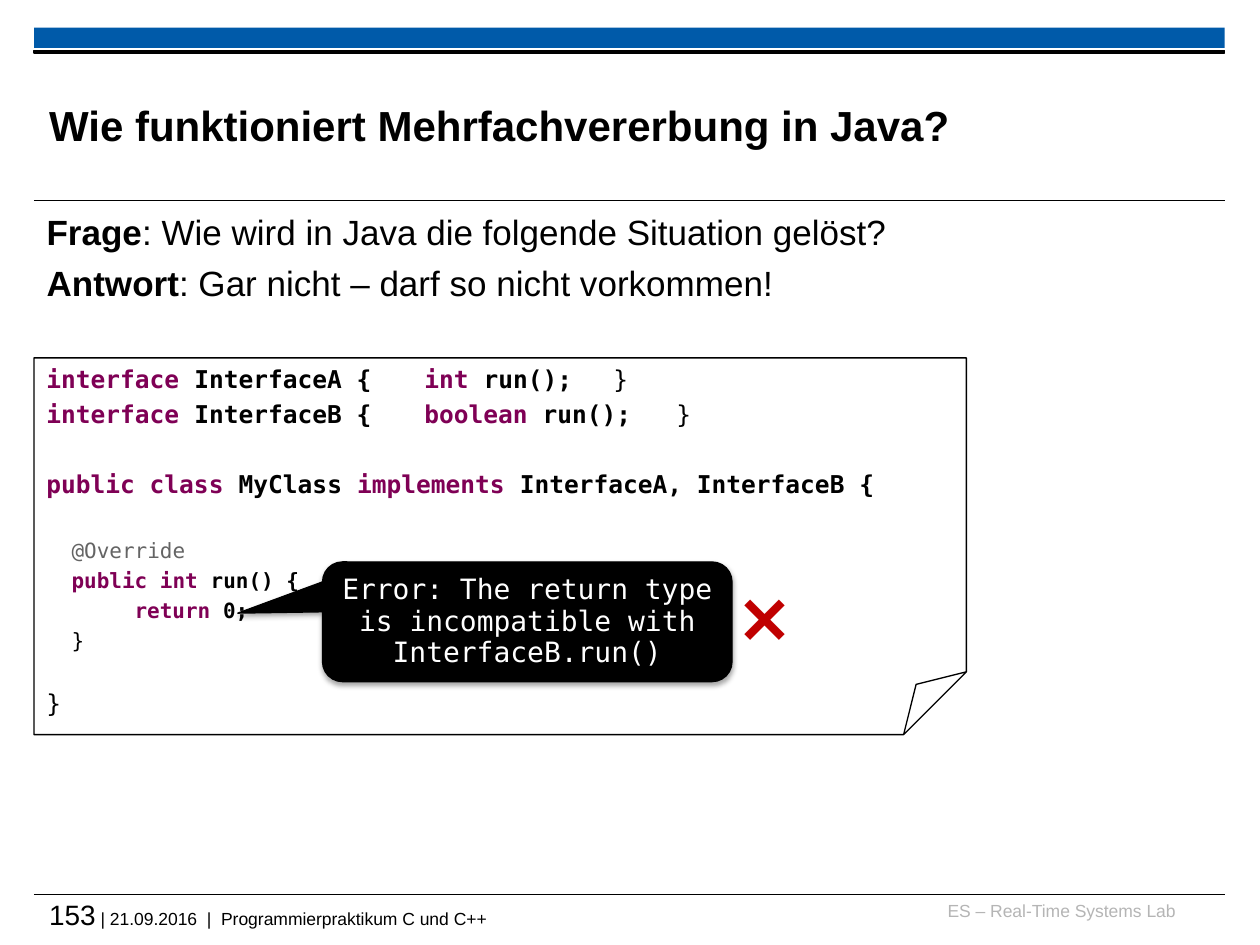
from lxml.etree import SubElement
from pptx import Presentation
from pptx.dml.color import RGBColor
from pptx.enum.shapes import MSO_CONNECTOR as Connector, MSO_SHAPE as Shape
from pptx.enum.text import MSO_ANCHOR as Anchor, MSO_AUTO_SIZE as AutoSize, PP_ALIGN as Align
from pptx.oxml.ns import qn
from pptx.util import Inches, Pt

COLORS = {"black": "000000", "white": "FFFFFF", "blue": "005AA9", "gray": "B5B5B5",
          "keyword": "7F0055", "annotation": "646464", "error": "C00000"}
SANS, MONO = "Arial", "DejaVu Sans Mono"
LEFT, WIDTH, TEXT_LEFT = 0.27, 9.45, 0.39

# Run styles
PLAIN = {"size": 20, "name": SANS, "color": "black", "bold": False}
BOLD = {**PLAIN, "bold": True}
TITLE = {**BOLD, "size": 24}
NUMBER = {**PLAIN, "size": 16}
FOOTER = {**PLAIN, "size": 10}
LAB = {**FOOTER, "color": "gray"}
CODE = {**BOLD, "name": MONO, "size": 14}
CODE_STYLES = {"k": {"color": "keyword"}, "c": {}, "p": {"bold": False},
               "a": {"color": "annotation", "bold": False}}
ERROR = {**PLAIN, "name": MONO, "size": 16, "color": "white"}
CROSS = {**PLAIN, "size": 40, "color": "error"}

# Content
title_text = "Wie funktioniert Mehrfachvererbung in Java?"
body_lines = [
    [("Frage", BOLD), (": Wie wird in Java die folgende Situation gelöst?", PLAIN)],
    [("Antwort", BOLD), (": Gar nicht – darf so nicht vorkommen!", PLAIN)],
]
# Code lines: level, space before in points, runs of (style key, text)
code_lines = [
    (0, 0, [("k", "interface "), ("c", "InterfaceA {\t"), ("k", "int"),
            ("c", " run();\t"), ("p", "}")]),
    (0, 3.3, [("k", "interface "), ("c", "InterfaceB {\t"), ("k", "boolean"),
              ("c", " run();\t"), ("p", "}")]),
    (0, 23, [("k", "public class "), ("c", "MyClass "), ("k", "implements "),
             ("c", "InterfaceA, InterfaceB {")]),
    (1, 22.4, [("a", "@Override")]),
    (1, 2.8, [("k", "public int "), ("c", "run() {")]),
    (1, 2.8, [("k", "\treturn"), ("c", " 0;")]),
    (1, 2.8, [("p", "}")]),
    (0, 20, [("p", "}")]),
]
LEVEL_SIZES = (14, 12)
LEVEL_INDENT = 0.2
error_text = "Error: The return type is incompatible with InterfaceB.run()"
footer_runs = [("153", NUMBER), (" | 21.09.2016  |  Programmierpraktikum C und C++", FOOTER)]


def rgb(name):
    return RGBColor.from_string(COLORS[name])


def box(*values):
    return [Inches(value) for value in values]


def set_frame(frame, margin=None, **options):
    settings = {"word_wrap": True, "auto_size": AutoSize.NONE,
                "vertical_anchor": Anchor.TOP, **options}
    if margin is not None:
        settings.update(dict.fromkeys(
            ("margin_left", "margin_top", "margin_right", "margin_bottom"), margin))
    for key, value in settings.items():
        setattr(frame, key, value)


def write(frame, lines, align=Align.LEFT, gap=0, spacing=None):
    """Fill a text frame with lines of (text, style) runs."""
    for index, runs in enumerate(lines):
        paragraph = frame.paragraphs[0] if index == 0 else frame.add_paragraph()
        paragraph.alignment = align
        paragraph.space_before = Pt(gap if index else 0)
        if spacing:
            paragraph.line_spacing = spacing
        for text, style in runs:
            run = paragraph.add_run()
            run.text = text
            run.font.size = Pt(style["size"])
            run.font.name = style["name"]
            run.font.bold = style["bold"]
            run.font.color.rgb = rgb(style["color"])


def add_shape(shapes, kind, place, fill=None, line=None):
    shape = shapes.add_shape(kind, *box(*place))
    shape.shadow.inherit = False
    if fill:
        shape.fill.solid()
        shape.fill.fore_color.rgb = rgb(fill)
    else:
        shape.fill.background()
    if line:
        shape.line.color.rgb = rgb(line)
        shape.line.width = Pt(0.75)
    else:
        shape.line.fill.background()
    return shape


presentation = Presentation()
presentation.slide_width, presentation.slide_height = box(10, 7.5)
slide = presentation.slides.add_slide(presentation.slide_layouts[1])
shapes = slide.shapes

# Header bars and thin rules
add_shape(shapes, Shape.RECTANGLE, (LEFT, 0.22, WIDTH, 0.16), "blue")
add_shape(shapes, Shape.RECTANGLE, (LEFT, 0.4, WIDTH, 0.02), "black", "black")
for y in (1.59, 7.1):
    rule = shapes.add_connector(Connector.STRAIGHT, *box(LEFT, y, LEFT + WIDTH, y))
    rule.line.color.rgb = rgb("black")
    rule.line.width = Pt(0.6)
    SubElement(rule._element.spPr, qn("a:effectLst"))

# Footer
for place, runs, align in (
    ((7.36, 7.14, 1.97, 0.25), [("ES – Real-Time Systems Lab", LAB)], Align.RIGHT),
    ((TEXT_LEFT, 7.12, 9.33, 0.33), footer_runs, Align.LEFT),
):
    frame = shapes.add_textbox(*box(*place)).text_frame
    set_frame(frame, margin=0)
    write(frame, [runs], align)

# Title and body placeholders
title, body = shapes.title, slide.placeholders[1]
for placeholder, place in ((title, (TEXT_LEFT, 0.53, 7.52, 0.92)),
                           (body, (LEFT, 1.62, WIDTH, 0.95))):
    placeholder.left, placeholder.top, placeholder.width, placeholder.height = box(*place)
set_frame(title.text_frame, margin=0, vertical_anchor=Anchor.MIDDLE)
write(title.text_frame, [[(title_text, TITLE)]])
set_frame(body.text_frame)
write(body.text_frame, body_lines, gap=5)
for paragraph in body.text_frame.paragraphs:
    properties = paragraph._p.get_or_add_pPr()
    properties.set("marL", "0")
    properties.set("indent", "0")
    SubElement(properties, qn("a:buNone"))

# Code sheet
sheet = add_shape(shapes, Shape.FOLDED_CORNER, (LEFT, 2.84, 7.4, 2.99), line="black")
set_frame(sheet.text_frame)
write(sheet.text_frame, [
    [(text, {**CODE, "size": LEVEL_SIZES[level], **CODE_STYLES[key]}) for key, text in runs]
    for level, before, runs in code_lines])
for paragraph, (level, before, runs) in zip(sheet.text_frame.paragraphs, code_lines):
    paragraph.level = level
    paragraph.space_before = Pt(before)
    properties = paragraph._p.get_or_add_pPr()
    properties.set("marL", str(Inches(level * LEVEL_INDENT)))
    properties.set("indent", "0")

# Error callout with its cross
group = shapes.add_group_shape()
callout = add_shape(group.shapes, Shape.ROUNDED_RECTANGULAR_CALLOUT,
                    (2.56, 4.46, 3.25, 0.95), "black", "black")
for index, value in enumerate((-0.707, -0.072, 0.167)):
    callout.adjustments[index] = value
effects = callout._element.spPr.find(qn("a:effectLst"))
shadow = SubElement(effects, qn("a:outerShdw"), blurRad=str(Pt(3.1)), dist=str(Pt(1.8)),
                    dir="5400000", rotWithShape="0")
shadow_color = SubElement(shadow, qn("a:srgbClr"), val=COLORS["black"])
SubElement(shadow_color, qn("a:alpha"), val="35000")
set_frame(callout.text_frame, vertical_anchor=Anchor.MIDDLE)
write(callout.text_frame, [[(error_text, ERROR)]], Align.CENTER, spacing=0.93)

cross = group.shapes.add_textbox(*box(5.69, 4.57, 0.76, 0.73))
set_frame(cross.text_frame, word_wrap=False, auto_size=AutoSize.SHAPE_TO_FIT_TEXT)
write(cross.text_frame, [[("❌", CROSS)]], Align.CENTER, spacing=0.93)

presentation.save("out.pptx")
